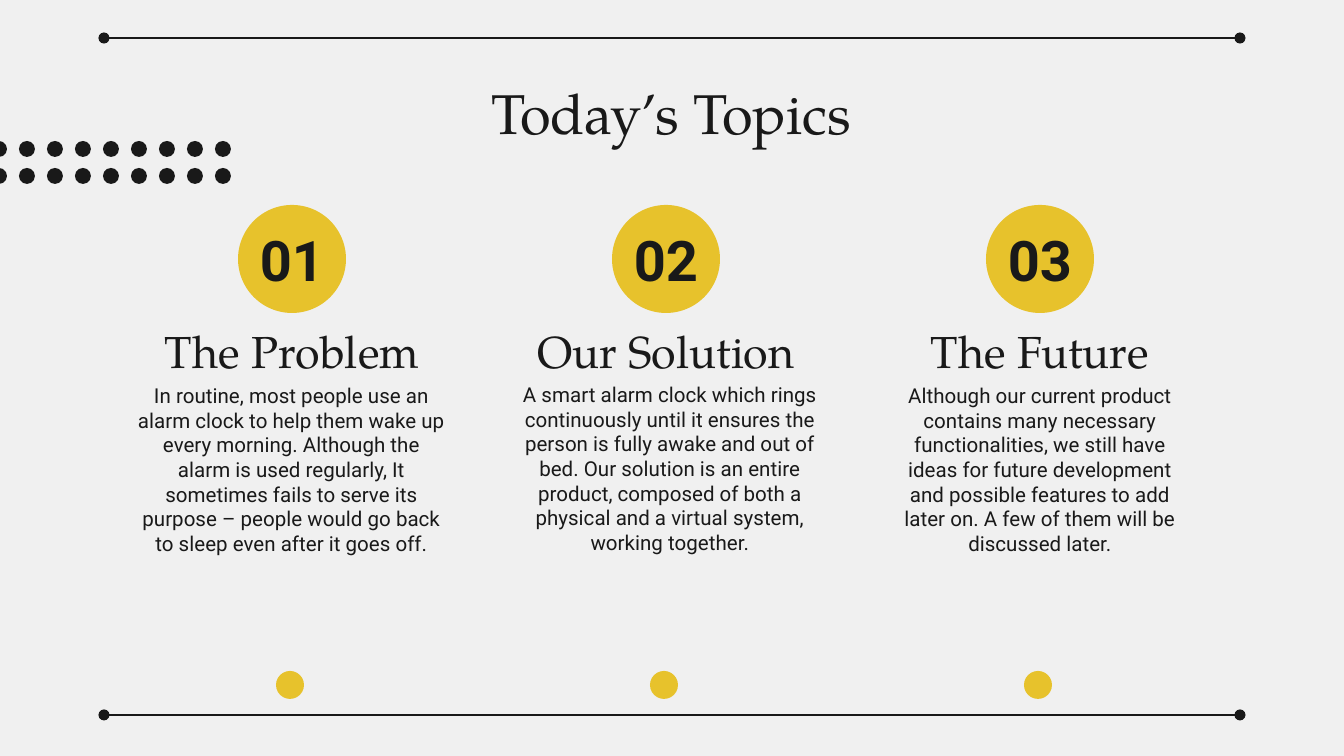
from lxml import etree
from pptx import Presentation
from pptx.dml.color import RGBColor
from pptx.enum.shapes import MSO_CONNECTOR, MSO_SHAPE
from pptx.enum.text import MSO_ANCHOR as ANCHOR, PP_ALIGN as ALIGN
from pptx.oxml.ns import qn
from pptx.util import Pt

EMU_PER_PX = 914400 / 134.4
COLORS = {"bg": "F0F0F0", "ink": "191919", "accent": "E7C22C"}
SERIF, SANS = "TeX Gyre Pagella", "Roboto"
COLUMN_PITCH, COLUMN_W = 374, 320
TOPICS = [
    ("01", "The Problem",
     "In routine, most people use an alarm clock to help them wake up every morning. "
     "Although the alarm is used regularly, It sometimes fails to serve its purpose – "
     "people would go back to sleep even after it goes off.", (-8, 165, 335, 239)),
    ("02", "Our Solution",
     "A smart alarm clock which rings continuously until it ensures the person is fully "
     "awake and out of bed. Our solution is an entire product, composed of both a physical "
     "and a virtual system, working together.", (4, 164, 320, 253)),
    ("03", "The Future",
     "Although our current product contains many necessary functionalities, we still have "
     "ideas for future development and possible features to add later on. A few of them "
     "will be discussed later.", (0, 165, 320, 285)),
]


def px(n):
    """Turn pixels into EMU."""
    return round(n * EMU_PER_PX)


def color(name):
    """Look up a named colour."""
    return RGBColor.from_string(COLORS[name])


def add_text(s, text, x, y, w, h, size=11, font=SANS, bold=False, anchor=ANCHOR.TOP):
    """Add a centred, wrapping text box."""
    sp = s.shapes.add_textbox(px(x), px(y), px(w), px(h))
    tf = sp.text_frame
    tf.word_wrap = True
    tf.vertical_anchor = anchor
    tf.margin_left = tf.margin_right = tf.margin_top = tf.margin_bottom = px(13)
    p = tf.paragraphs[0]
    p.alignment = ALIGN.CENTER
    r = p.add_run()
    r.text = text
    r.font.size, r.font.name, r.font.bold = Pt(size), font, bold
    r.font.color.rgb = color("ink")


def add_circle(shapes, x, y, d, fill):
    """Add a filled circle without an outline."""
    sp = shapes.add_shape(MSO_SHAPE.OVAL, px(x), px(y), px(d), px(d))
    sp.shadow.inherit = False
    sp.fill.solid()
    sp.fill.fore_color.rgb = color(fill)
    sp.line.fill.background()


def add_rule(s, x, y, w):
    """Add a horizontal line with round ends."""
    line = s.shapes.add_connector(MSO_CONNECTOR.STRAIGHT, px(x), px(y), px(x + w), px(y))
    line.line.color.rgb = color("ink")
    line.line.width = Pt(0.75)
    ln = line.line._get_or_add_ln()
    for end in ("a:headEnd", "a:tailEnd"):
        etree.SubElement(ln, qn(end), type="oval")
    etree.SubElement(line._element.spPr, qn("a:effectLst"))


def add_dot_grid(s, x, y, cols=9, rows=2):
    """Add a grouped grid of small dots."""
    group = s.shapes.add_group_shape()
    for col in range(cols):
        for row in range(rows):
            add_circle(group.shapes, x + col * 28, y + row * 27, 16, "ink")


def add_topic(s, x, y, number, heading, body, body_box):
    """Add one topic column: number badge, heading, body and closing dot."""
    dx, dy, w, h = body_box
    add_circle(s.shapes, x + 106, y, 108, "accent")
    add_text(s, number, x + 106, y + 21, 108, 66, size=30, bold=True, anchor=ANCHOR.MIDDLE)
    add_text(s, heading, x, y + 108, COLUMN_W, 78, size=24, font=SERIF, anchor=ANCHOR.BOTTOM)
    add_text(s, body, x + dx, y + dy, w, h)
    add_circle(s.shapes, x + 144, y + 466, 28, "accent")


def main():
    """Build the topics slide."""
    prs = Presentation()
    prs.slide_width, prs.slide_height = px(1344), px(756)
    s = prs.slides.add_slide(prs.slide_layouts[6])
    s.background.fill.solid()
    s.background.fill.fore_color.rgb = color("bg")
    add_text(s, "Today’s Topics", 105, 66, 1133, 85, size=30, font=SERIF)
    for i, topic in enumerate(TOPICS):
        add_topic(s, 132 + i * COLUMN_PITCH, 205, *topic)
    for y in (38, 715):
        add_rule(s, 104, y, 1136)
    add_dot_grid(s, -9, 141)
    prs.save("out.pptx")


if __name__ == "__main__":
    main()
